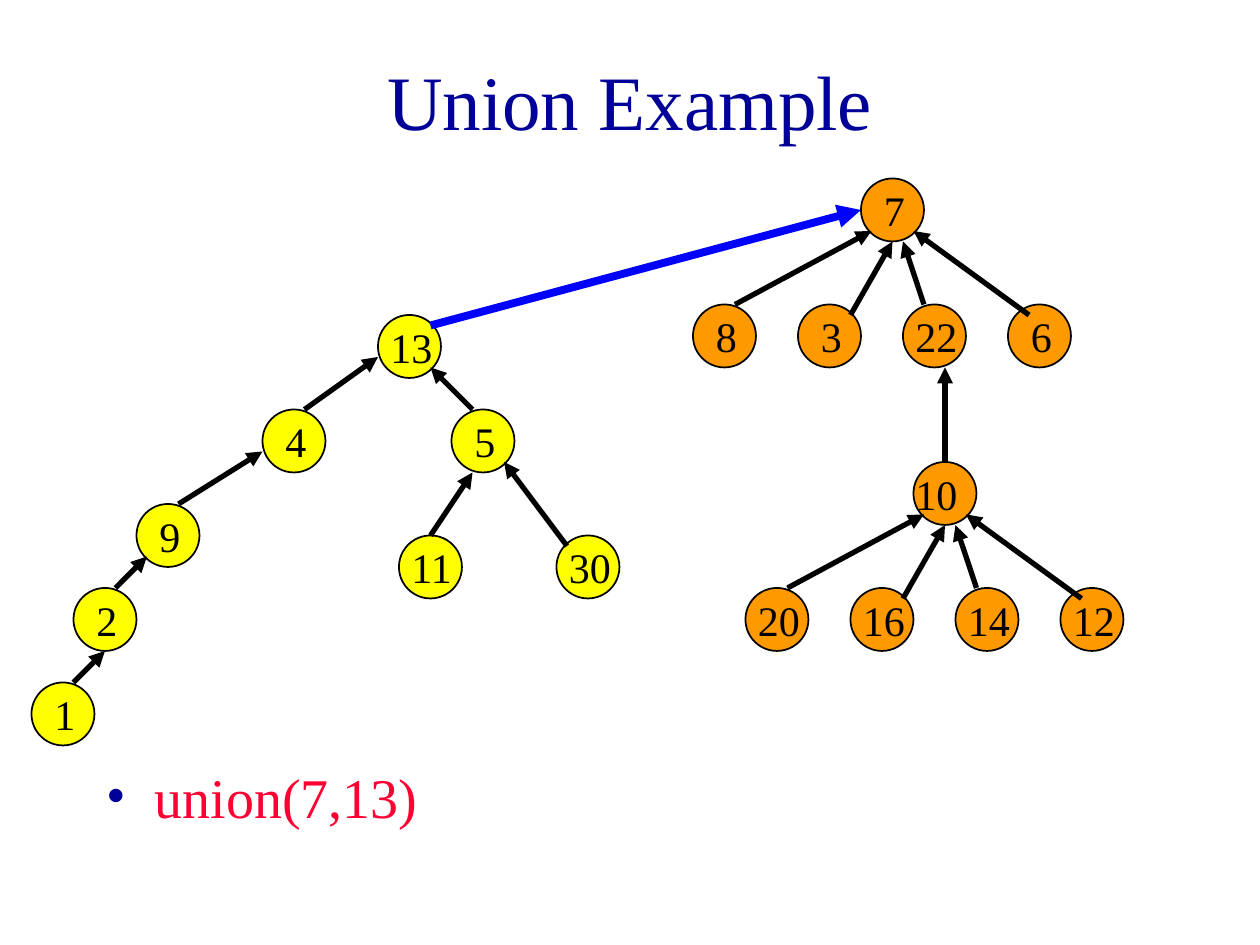
from lxml import etree
from pptx import Presentation
from pptx.dml.color import RGBColor
from pptx.enum.shapes import MSO_CONNECTOR, MSO_SHAPE
from pptx.enum.text import MSO_ANCHOR, PP_ALIGN
from pptx.oxml.ns import qn
from pptx.util import Inches, Pt

LINE = MSO_CONNECTOR.STRAIGHT
OVAL = MSO_SHAPE.OVAL
MIDDLE = MSO_ANCHOR.MIDDLE
TOP = MSO_ANCHOR.TOP
LEFT = PP_ALIGN.LEFT
CENTER = PP_ALIGN.CENTER

FONT = "Times New Roman"
NAVY, RED, BLUE, BLACK = "000099", "FF0033", "0000FF", "000000"
YELLOW, ORANGE = "FFFF00", "FF9900"
CELLS_PER_INCH = 12
NODE = 6

LEFT_NODES = {
    "13": (33, 0), "4": (22, 9), "5": (40, 9), "9": (10, 18),
    "11": (35, 21), "30": (50, 21), "2": (4, 26), "1": (0, 35),
}
LEFT_EDGES = [
    ("13", (0, 4), "4", (4, 0)),
    ("4", (0, 4), "9", (4, 0)),
    ("13", (5, 5), "5", (2, 0)),
    ("9", (1, 5), "2", (4, 0)),
    ("5", (2, 6), "11", (3, 0)),
    ("5", (5, 5), "30", (1, 1)),
    ("2", (3, 6), "1", (4, 0)),
]
FAN_ENDS = [((1, 5), (4, 0)), ((3, 6), (5, 1)),
            ((4, 6), (2, 0)), ((5, 5), (2, 1))]
FAN_STEP, FAN_DROP, FAN_ROOT = 10, 12, 16


def grid(n):
    return Inches(n / CELLS_PER_INCH)


def color(value):
    return RGBColor.from_string(value)


def shift(a, b):
    return a[0] + b[0], a[1] + b[1]


def add_text(shapes, box, text, size, fill, align=LEFT, anchor=TOP):
    tf = shapes.add_textbox(*map(grid, box)).text_frame
    tf.word_wrap = True
    tf.vertical_anchor = anchor
    p = tf.paragraphs[0]
    p.alignment = align
    r = p.add_run()
    r.text = text
    r.font.name = FONT
    r.font.size = Pt(size)
    r.font.color.rgb = color(fill)
    return p


def add_arrow(shapes, start, end, fill, width, tip):
    s = shapes.add_connector(LINE, *map(grid, start + end))
    s.line.color.rgb = color(fill)
    s.line.width = Pt(width)
    ln = s.line._get_or_add_ln()
    etree.SubElement(ln, qn("a:" + tip), type="triangle")
    etree.SubElement(s._element.spPr, qn("a:effectLst"))


def add_node(shapes, pos, label, fill, nudge=None):
    sp = shapes.add_shape(OVAL, *map(grid, pos + (NODE, NODE)))
    sp.shadow.inherit = False
    sp.fill.solid()
    sp.fill.fore_color.rgb = color(fill)
    sp.line.color.rgb = color(BLACK)
    sp.line.width = Pt(1)
    single = len(label) == 1
    if nudge is None:
        nudge = 1 if single else 0
    x, y = shift(pos, (nudge, 0))
    add_text(shapes, (x, y, 4 if single else 9, NODE), label, 24, BLACK)


def add_edge(shapes, parent, tip, child, start):
    add_arrow(shapes, shift(parent, tip), shift(child, start),
              BLACK, 3, "headEnd")


def add_left_tree(shapes, origin):
    places = {k: shift(origin, v) for k, v in LEFT_NODES.items()}
    for label, pos in places.items():
        add_node(shapes, pos, label, YELLOW)
    for parent, tip, child, start in LEFT_EDGES:
        add_edge(shapes, places[parent], tip, places[child], start)
    return places["13"]


def add_fan(shapes, origin, root, children, nudge=None):
    top = shift(origin, (FAN_ROOT, 0))
    add_node(shapes, top, root, ORANGE, nudge)
    places = [shift(origin, (i * FAN_STEP, FAN_DROP))
              for i in range(len(children))]
    for pos, label in zip(places, children):
        add_node(shapes, pos, label, ORANGE)
    for pos, (tip, start) in zip(places, FAN_ENDS):
        add_edge(shapes, top, tip, pos, start)
    return top, places


def add_right_tree(shapes, origin):
    root, children = add_fan(shapes, origin, "7", ["8", "3", "22", "6"])
    lower, _ = add_fan(shapes, shift(origin, (5, 27)), "10",
                       ["20", "16", "14", "12"], -1)
    add_edge(shapes, children[2], (4, 6), lower, (3, 0))
    return root


def add_bullet(shapes, box):
    p = add_text(shapes, box, "union(7,13)", 32, RED)
    pPr = p._p.get_or_add_pPr()
    pPr.set("marL", str(Inches(0.38)))
    pPr.set("indent", str(-Inches(0.38)))
    clr = etree.SubElement(pPr, qn("a:buClr"))
    etree.SubElement(clr, qn("a:srgbClr"), val=NAVY)
    etree.SubElement(pPr, qn("a:buFont"), typeface=FONT)
    etree.SubElement(pPr, qn("a:buChar"), char="•")


def main():
    prs = Presentation()
    prs.slide_width, prs.slide_height = Inches(10), Inches(7.5)
    shapes = prs.slides.add_slide(prs.slide_layouts[6]).shapes
    add_text(shapes, (9, 2, 102, 15), "Union Example", 44, NAVY,
             CENTER, MIDDLE)
    add_bullet(shapes, (9, 72, 102, 9))
    left = add_left_tree(shapes.add_group_shape().shapes, (3, 30))
    right = add_right_tree(shapes.add_group_shape().shapes, (66, 17))
    add_arrow(shapes, shift(left, (5, 1)), shift(right, (0, 3)),
              BLUE, 4.5, "tailEnd")
    prs.save("out.pptx")


if __name__ == "__main__":
    main()
